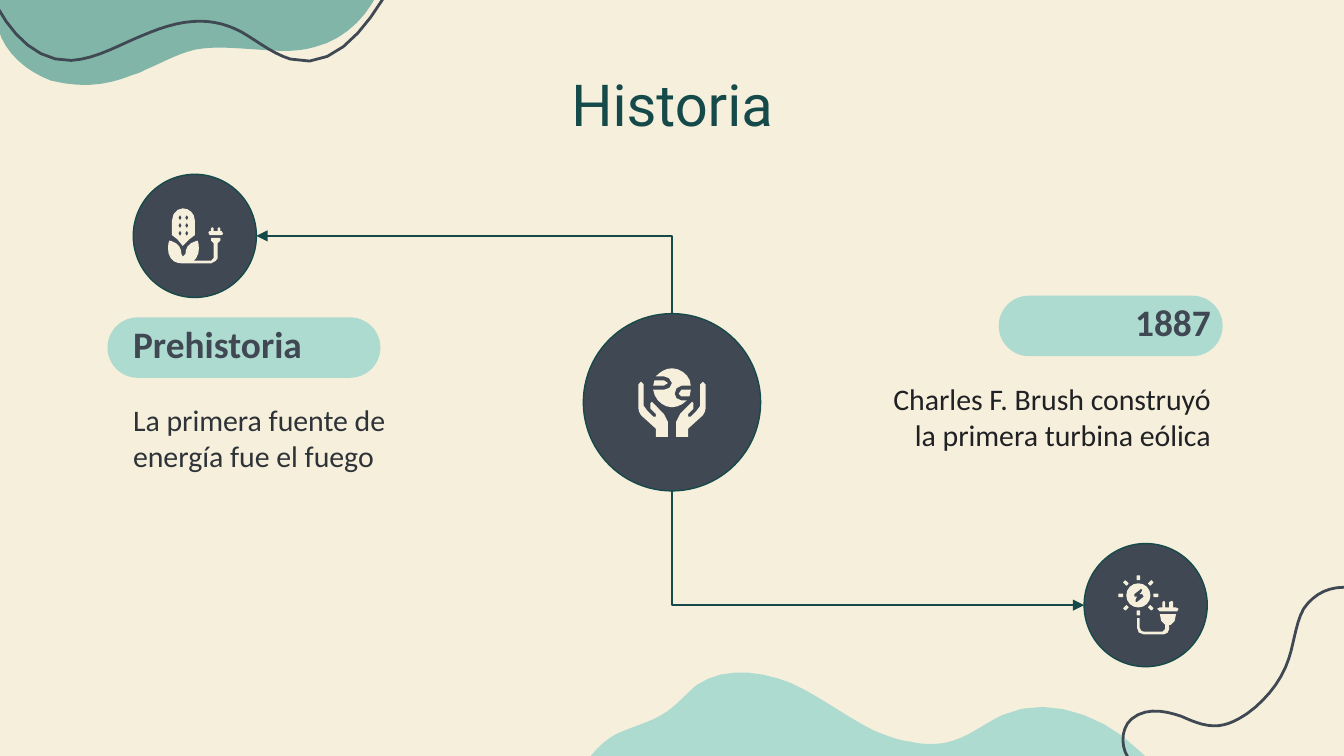
import math

import pptx
import pptx.dml.color
import pptx.enum.shapes
import pptx.enum.text
import pptx.oxml
import pptx.oxml.ns
import pptx.util

Pt = pptx.util.Pt
KIND = pptx.enum.shapes.MSO_SHAPE
ALIGN = pptx.enum.text.PP_ALIGN
ANCHOR = pptx.enum.text.MSO_ANCHOR
CREAM, MINT, SAGE, SLATE, TEAL = "F6EFDC", "ADDBD0", "81B5A8", "3F4853", "164A4A"
UNIT = 0.72

HILL = """M 847 558 C 821 532 779 517 746 532 731 539 719 550 702 553 694 554 686 554 678 552
668 551 659 547 651 544 629 533 610 518 588 508 565 499 538 496 518 510 511 516 505 523 497 529
486 537 472 540 459 546 447 552 437 564 430 578 L 867 578 C 860 571 854 564 847 558"""
CLOUD = """M -4 -5 C -4 6 -3 17 1 28 8 43 22 54 38 60 62 66 81 63 98 56
101 55 105 54 108 52 120 47 132 40 145 37 160 34 177 36 193 37 207 38 221 39 234 35
255 30 272 14 281 -5"""
WAVE = """M -7 -5 C 4 20 24 46 53 45 70 44 86 35 100 29 114 23 128 17 144 16
157 15 169 18 180 24 192 31 203 40 216 44 251 54 276 15 291 -11"""
CURL = """M 1042 453 C 1028 445 1015 437 1000 437 987 437 977 443 970 453 964 464 963 478 959 490
954 506 942 521 928 531 922 535 915 539 907 540 897 541 888 537 879 533 867 529 853 526 842 535
834 542 834 555 839 563 842 568 847 573 852 578 858 584 863 591 865 599 869 610 869 622 865 633"""

COB = """M 136 155 C 132 155 128 159 128 164 L 128 175 132 178 136 183 141 178 145 175 145 164
C 145 159 141 155 136 155"""
SEED = " M {0} {1} L {2} {3} {0} {4} {5} {3} {0} {1}"
HUSK = """M 157 177 L 157 179 159 181 159 192 157 194 144 194 146 192
C 149 188 148 181 147 179 147 179 144 180 142 181 139 183 138 186 138 189
L 136 191 135 189 C 135 186 134 183 131 181 128 179 126 179 126 179
125 181 124 188 127 192 129 195 132 196 136 196
L 157 196 C 160 196 162 192 162 192 L 162 181 164 179 164 177"""
PLUG = """M 158 169 L 157 170 157 172 156 172 155 173 156 175 165 175 166 174 165 172
164 172 164 170 163 169 162 170 162 172 159 172 159 170 158 169"""

CORD = """M 863 457 L 864 462 867 465 867 468 865 470 851 470 C 850 470 848 469 848 467
L 848 460 847 460 846 460 846 467 C 846 470 848 472 851 472 L 866 472
C 868 472 870 470 870 468 L 870 465 871 465 874 462 875 457"""
PRONG = """M 866 447 L 865 448 865 452 863 452 861 453 863 455 876 455 877 453 875 452
873 452 873 448 872 447 870 448 870 452 867 452 867 448 866 447"""
SUN = """M 849 438 L 850 439 849 441 848 442 850 442 851 444 846 448 845 448 845 446
846 444 844 444 844 442 848 439 849 438
M 847 434 C 842 434 838 438 838 443 838 448 842 452 847 452 852 452 856 448 856 443
856 438 852 434 847 434"""

PALM = """M 523 284 L 521 286 521 302 518 306 514 310 512 310 512 308 516 304
C 517 303 517 301 516 300 L 515 299 506 308 C 505 310 504 312 503 314
L 503 325 512 325 512 319 523 309 C 524 307 525 306 525 304 L 525 286 523 284"""
LAND = "M 507 290 C 506 290 505 291 505 293 505 294 506 295 507 295 L 513 295 514 290"
GLOBE = """M 500 274 C 495 274 491 277 488 280 L 494 280 C 497 280 499 282 500 285
500 288 497 290 494 290 L 486 290 C 487 297 493 303 500 303 504 303 508 301 511 298 L 507 298
C 504 298 502 295 502 293 502 290 504 287 507 287 L 514 287 C 514 280 507 274 500 274"""
ISLE = "M 487 283 L 486 287 494 287 C 496 287 497 286 497 285 497 284 496 283 494 283"


def tint(code):
    """Turn a hex string into a colour."""
    return pptx.dml.color.RGBColor.from_string(code)


def paint(shape, fill=None, line=None, width=0.75):
    """Set the fill and line of a shape."""
    shape.shadow.inherit = False
    for part, code in ((shape.fill, fill), (shape.line.fill, line)):
        if code:
            part.solid()
            part.fore_color.rgb = tint(code)
        else:
            part.background()
    if line:
        shape.line.width = Pt(width)


def bend(ends):
    """Cut a curve into steps that suit its length."""
    count = min(7, 1 + int(math.dist(ends[0], ends[3]) / 3))
    for step in range(1, count + 1):
        t = step / count
        mix = ((1 - t) ** 3, 3 * t * (1 - t) ** 2, 3 * t * t * (1 - t), t ** 3)
        yield [sum(m * e[i] for m, e in zip(mix, ends)) for i in (0, 1)]


def trace(path):
    """Turn path text into lists of points."""
    loops, mode, nums = [], "M", []
    for word in path.split():
        if word in "MCL":
            mode = word
            continue
        nums.append(float(word) * UNIT)
        if len(nums) < (6 if mode == "C" else 2):
            continue
        if mode == "M":
            loops.append([])
        if mode == "C":
            loops[-1].extend(bend([loops[-1][-1], nums[:2], nums[2:4], nums[4:]]))
        else:
            loops[-1].append(nums)
        nums = []
    return [[(Pt(x), Pt(y)) for x, y in loop] for loop in loops]


def draw(shapes, path, fill=None, line=None):
    """Add a freeform, closed when it has a fill."""
    first, *rest = trace(path)
    pen = shapes.build_freeform(*first[0])
    pen.add_line_segments(first[1:], close=bool(fill))
    for loop in rest:
        pen.move_to(*loop[0])
        pen.add_line_segments(loop[1:], close=bool(fill))
    paint(pen.convert_to_shape(), fill, line, 1.5)


def icon(slide, paths):
    """Add a group of cream freeforms."""
    group = slide.shapes.add_group_shape()
    for path in paths:
        draw(group.shapes, path, CREAM)
    return group


def form(shapes, kind, box, fill, line=None):
    """Add a preset shape."""
    shape = shapes.add_shape(kind, *map(Pt, box))
    paint(shape, fill, line)
    return shape


def write(shape, text, color, look, align=ALIGN.LEFT, anchor=ANCHOR.TOP, gap=1.0):
    """Put one formatted paragraph in a shape."""
    frame = shape.text_frame
    layout = {"word_wrap": True, "vertical_anchor": anchor, "margin_left": 0,
              "margin_right": 0, "margin_top": 0, "margin_bottom": 0}
    for name, value in layout.items():
        setattr(frame, name, value)
    frame.text = text
    para = frame.paragraphs[0]
    para.alignment, para.line_spacing = align, gap
    font = para.runs[0].font
    for name, value in look.items():
        setattr(font, name, value)
    font.color.rgb = tint(color)


def label(slide, box, *args, **kwargs):
    """Add a text box."""
    write(slide.shapes.add_textbox(*map(Pt, box)), *args, **kwargs)


def link(slide, start, end):
    """Add a one-bend connector with an arrowhead at its start."""
    kind = pptx.enum.shapes.MSO_CONNECTOR.ELBOW
    line = slide.shapes.add_connector(kind, *map(Pt, start + end))
    line.line.color.rgb = tint(TEAL)
    line.line.width = Pt(0.75)
    props = line._element.spPr
    props.find(pptx.oxml.ns.qn("a:prstGeom")).set("prst", "bentConnector2")
    space = pptx.oxml.ns.nsdecls("a")
    head = f'<a:headEnd {space} type="triangle"/>'
    props.find(pptx.oxml.ns.qn("a:ln")).append(pptx.oxml.parse_xml(head))
    props.append(pptx.oxml.parse_xml(f"<a:effectLst {space}/>"))


def mirror(path, axis):
    """Flip a path left to right about an axis."""
    words, across = [], True
    for word in path.split():
        if word not in "MCL":
            word = str(2 * axis - int(word)) if across else word
            across = not across
        words.append(word)
    return " ".join(words)


def rays(group):
    """Add the eight rays around the sun."""
    for angle in range(0, 360, 45):
        x = 609.84 + 9.4 * math.sin(math.radians(angle))
        y = 318.96 - 9.4 * math.cos(math.radians(angle))
        box = (x - 0.9, y - 1.3, 1.8, 2.6)
        form(group.shapes, KIND.ROUNDED_RECTANGLE, box, CREAM).rotation = angle


def main():
    """Build the slide."""
    deck = pptx.Presentation()
    deck.slide_width, deck.slide_height = Pt(720), Pt(405)
    slide = deck.slides.add_slide(deck.slide_layouts[5])
    slide.background.fill.solid()
    slide.background.fill.fore_color.rgb = tint(CREAM)
    shapes = slide.shapes
    for path, fill, line in ((HILL, MINT, None), (CLOUD, SAGE, None),
                             (CURL, None, SLATE), (WAVE, None, SLATE)):
        draw(shapes, path, fill, line)
    for box in ((535, 158.4, 120, 32.4), (57.6, 170, 146.2, 32.4)):
        form(shapes, KIND.ROUNDED_RECTANGLE, box, MINT).adjustments[0] = 0.5

    title = shapes.title
    title.left, title.top, title.width, title.height = map(Pt, (56.2, 36.7, 607.7, 36))
    write(title, "Historia", TEAL, {"name": "Roboto", "size": Pt(31)}, ALIGN.CENTER)
    head = {"name": "Calibri", "size": Pt(20), "bold": True}
    body = {"name": "Calibri", "size": Pt(16)}
    label(slide, (71.3, 170, 165, 32.4), "Prehistoria", SLATE, head, anchor=ANCHOR.MIDDLE, gap=0.8)
    label(slide, (71.3, 215.3, 165, 80.6), "La primera fuente de energía fue el fuego", "2E3338", body)
    label(slide, (483.7, 158.4, 165, 32.4), "1887", SLATE, head, ALIGN.RIGHT, ANCHOR.MIDDLE, 0.8)
    label(slide, (470, 203.8, 178.7, 80.6), "Charles F. Brush construyó la primera turbina eólica",
          "202124", body, ALIGN.RIGHT)

    for x, y, size in ((71.4, 93.4, 66), (580.8, 291.2, 66), (312.5, 168, 95)):
        form(shapes, KIND.OVAL, (x, y, size, size), SLATE, TEAL)
    link(slide, (137.4, 126.4), (360, 168))
    link(slide, (580.8, 324.2), (360, 263))

    seeds = "".join(SEED.format(x, y, x + 1.2, y + 2, y + 4, x - 1.2)
                    for x in (134, 139) for y in (160, 165.8, 171.6))
    icon(slide, (COB + seeds, HUSK, PLUG))
    rays(icon(slide, (CORD, PRONG, SUN)))
    icon(slide, (PALM, mirror(PALM, 500), LAND, GLOBE, ISLE))
    deck.save("out.pptx")


if __name__ == "__main__":
    main()
